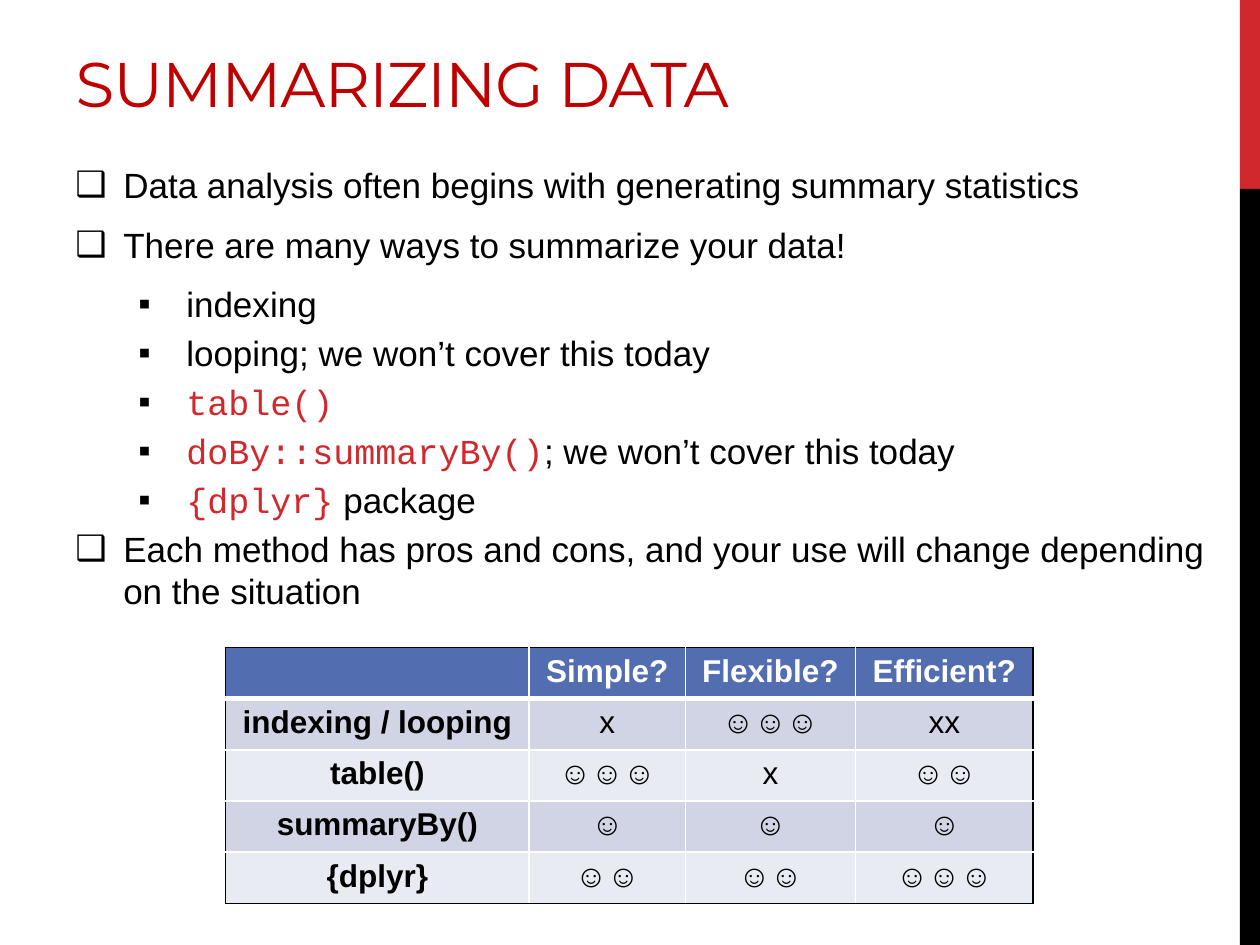
from dataclasses import dataclass

from lxml.etree import SubElement
from pptx import Presentation
from pptx.dml.color import RGBColor
from pptx.enum.shapes import MSO_SHAPE
from pptx.enum.text import MSO_ANCHOR, PP_ALIGN
from pptx.oxml.ns import qn
from pptx.util import Inches, Pt


@dataclass(frozen=True)
class Theme:
    red: str = "D1282E"
    head: str = "C00000"
    black: str = "000000"
    white: str = "FFFFFF"
    blue: str = "526DB0"
    bands: tuple = ("D1D4E4", "E9EBF2")
    sans: str = "Arial"
    code: str = "Courier New"
    title: str = "Montserrat"
    big: int = 36
    text: int = 20
    cell: int = 18


LOOK = Theme()
WIDE, HIGH = 10, 7.5

POINTS = [
    (0, [("Data analysis often begins with generating summary statistics", False)]),
    (0, [("There are many ways to summarize your data!", False)]),
    (1, [("indexing", False)]),
    (1, [("looping; we won’t cover this today", False)]),
    (1, [("table()", True)]),
    (1, [("doBy::summaryBy()", True), ("; we won’t cover this today", False)]),
    (1, [("{dplyr}", True), (" package", False)]),
    (0, [("Each method has pros and cons, and your use will change "
          "depending on the situation", False)]),
]
HEADS = ["", "Simple?", "Flexible?", "Efficient?"]
RATES = [
    ("indexing / looping", "x", "☺☺☺", "xx"),
    ("table()", "☺☺☺", "x", "☺☺"),
    ("summaryBy()", "☺", "☺", "☺"),
    ("{dplyr}", "☺☺", "☺☺", "☺☺☺"),
]


def style(font, name, size, color, bold=False):
    font.name, font.size, font.bold = name, Pt(size), bold
    font.color.rgb = RGBColor.from_string(color)


def add_bars(slide, box):
    left, top, width, height = box
    cut = height / 5
    for y, tall, color in ((top, cut, LOOK.red), (top + cut, height - cut, LOOK.black)):
        bar = slide.shapes.add_shape(MSO_SHAPE.RECTANGLE, *map(Inches, (left, y, width, tall)))
        bar.shadow.inherit = False
        bar.fill.solid()
        bar.fill.fore_color.rgb = RGBColor.from_string(color)
        bar.line.fill.background()


def set_title(slide, box, words):
    title = slide.shapes.title
    title.left, title.top, title.width, title.height = map(Inches, box)
    frame = title.text_frame
    frame.text = words
    frame.vertical_anchor = MSO_ANCHOR.BOTTOM
    line = frame.paragraphs[0]
    line.alignment = PP_ALIGN.LEFT
    run = line.runs[0]
    style(run.font, LOOK.title, LOOK.big, LOOK.head)
    run.font._element.set("spc", "-60")


def set_bullet(line, level):
    props = line._p.get_or_add_pPr()
    props.set("marL", str(Inches(0.38 + 0.5 * level)))
    props.set("indent", str(Inches(-0.38)))
    gap = SubElement(props, qn("a:spcBef"))
    SubElement(gap, qn("a:spcPct"), val="20000")
    gap = SubElement(props, qn("a:spcAft"))
    SubElement(gap, qn("a:spcPts"), val="0" if level else "600")
    tint = SubElement(props, qn("a:buClr"))
    SubElement(tint, qn("a:srgbClr"), val=LOOK.black)
    SubElement(props, qn("a:buFont"), typeface=LOOK.sans)
    SubElement(props, qn("a:buChar"), char="▪" if level else "❑")


def add_points(slide, box, points):
    frame = slide.shapes.add_textbox(*map(Inches, box)).text_frame
    frame.word_wrap = True
    for i, (level, parts) in enumerate(points):
        line = frame.add_paragraph() if i else frame.paragraphs[0]
        line.level = level
        set_bullet(line, level)
        for words, code in parts:
            run = line.add_run()
            run.text = words
            style(run.font, LOOK.code if code else LOOK.sans, LOOK.text,
                  LOOK.red if code else LOOK.black)


def set_edge(cell, side, color, width):
    edge = SubElement(cell._tc.get_or_add_tcPr(), qn("a:ln" + side), w=str(Pt(width)))
    fill = SubElement(edge, qn("a:solidFill"))
    SubElement(fill, qn("a:srgbClr"), val=color)


def add_rates(slide, box, shares, rows):
    left, top, width, height = box
    last, end = len(rows) - 1, len(shares) - 1
    grid = slide.shapes.add_table(len(rows), len(shares), *map(Inches, box)).table
    for col, share in zip(grid.columns, shares):
        col.width = Inches(width * share / sum(shares))
    for r, row in enumerate(rows):
        grid.rows[r].height = Inches(height / len(rows))
        for c, words in enumerate(row):
            cell = grid.cell(r, c)
            outer = {"L": c == 0, "R": c == end, "T": r == 0, "B": r == last}
            thick = {"T": r == 1, "B": r == 0}
            for side, rim in outer.items():
                set_edge(cell, side, LOOK.black if rim else LOOK.white,
                         3 if thick.get(side) else 1)
            cell.fill.solid()
            shade = LOOK.bands[(r - 1) % 2] if r else LOOK.blue
            cell.fill.fore_color.rgb = RGBColor.from_string(shade)
            cell.text_frame.text = words
            line = cell.text_frame.paragraphs[0]
            line.alignment = PP_ALIGN.CENTER
            style(line.font, LOOK.sans, LOOK.cell, LOOK.black)
            for run in line.runs:
                style(run.font, LOOK.sans, LOOK.cell,
                      LOOK.black if r else LOOK.white, r == 0 or c == 0)


def main():
    deck = Presentation()
    deck.slide_width, deck.slide_height = Inches(WIDE), Inches(HIGH)
    slide = deck.slides.add_slide(deck.slide_layouts[5])
    add_bars(slide, (9.84, 0, 0.16, HIGH))
    add_points(slide, (0.5, 1.25, 9.25, 5.91), POINTS)
    set_title(slide, (0.5, 0.17, 9, 0.83), "SUMMARIZING DATA")
    add_rates(slide, (1.79, 5.14, 6.41, 2.03), (2.41, 1.24, 1.35, 1.41), [HEADS, *RATES])
    deck.save("out.pptx")


main()
